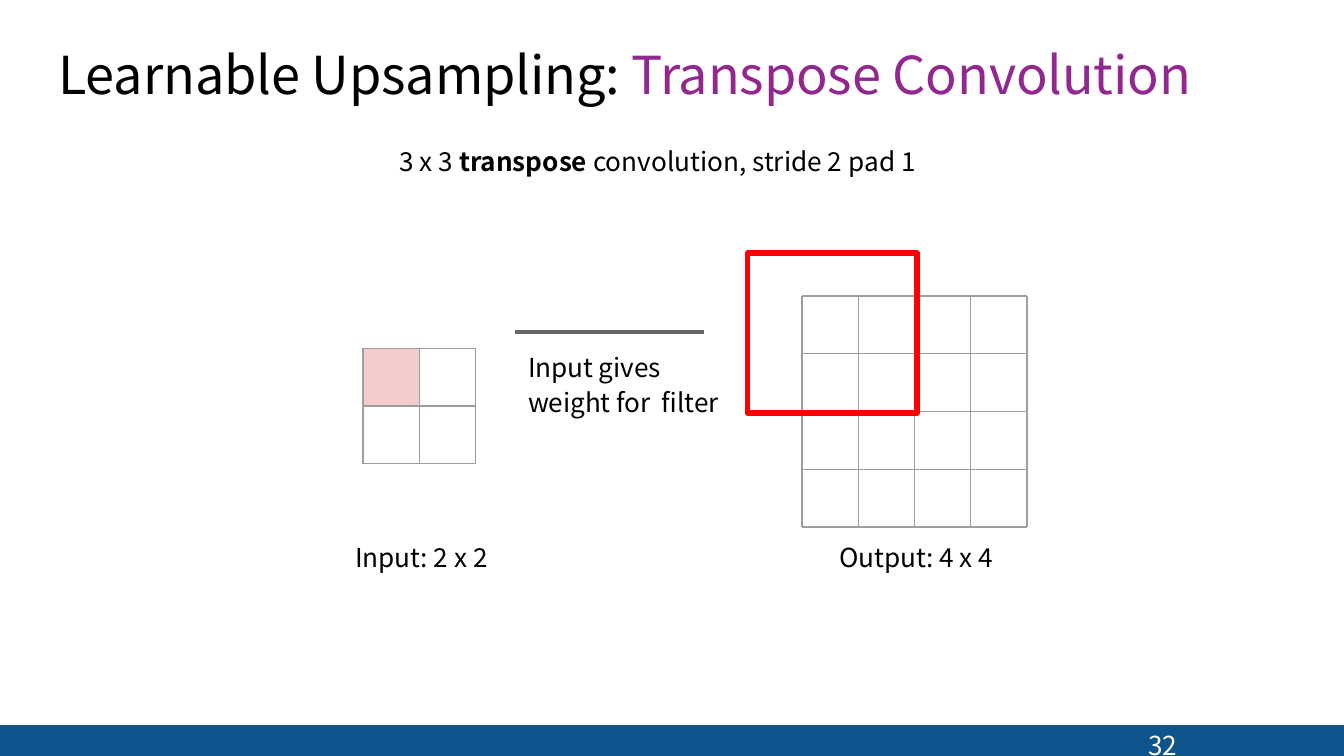
from lxml import etree
from pptx import Presentation
from pptx.dml.color import RGBColor
from pptx.enum.shapes import MSO_CONNECTOR, MSO_SHAPE
from pptx.enum.text import MSO_ANCHOR
from pptx.oxml.ns import qn
from pptx.util import Pt

STRAIGHT = MSO_CONNECTOR.STRAIGHT
RECTANGLE = MSO_SHAPE.RECTANGLE
TOP = MSO_ANCHOR.TOP
FONT = "Noto Sans CJK KR"
BLACK, WHITE, PURPLE = "000000", "FFFFFF", "92278F"
GRID, PINK, RED, GRAY, BLUE = "9E9E9E", "F4CCCC", "FF0000", "666666", "0D558C"
PAGE_WIDTH, PAGE_HEIGHT = 720, 405
CELL_WIDTH, CELL_HEIGHT = 30.1, 30.96
TIGHT = -5


def color(value):
    """Turn a hex string into a colour."""
    return RGBColor.from_string(value)


def add_text(page, box, lines, size=14, inset=(0.72, 0.72), spacing=None, tracking=0):
    """Place lines of (text, format) spans in a box."""
    frame = page.shapes.add_textbox(*map(Pt, box)).text_frame
    left, top = inset
    layout = {"word_wrap": True, "vertical_anchor": TOP, "margin_left": Pt(left),
              "margin_top": Pt(top), "margin_right": 0, "margin_bottom": 0}
    for name, value in layout.items():
        setattr(frame, name, value)
    for index, spans in enumerate(lines):
        para = frame.add_paragraph() if index else frame.paragraphs[0]
        if spacing:
            para.line_spacing = Pt(spacing)
        if index:
            para.space_before = Pt(2.2)
        for text, look in spans:
            span = para.add_run()
            span.text = text
            values = {"name": FONT, "size": Pt(size), "bold": look.get("bold", False)}
            for name, value in values.items():
                setattr(span.font, name, value)
            span.font.color.rgb = color(look.get("color", BLACK))
            span.font._element.set("spc", str(look.get("tracking", tracking)))


def add_line(page, start, end, shade, width):
    """Draw a straight line without a shadow."""
    line = page.shapes.add_connector(STRAIGHT, *map(Pt, (*start, *end)))
    line.line.color.rgb = color(shade)
    line.line.width = Pt(width)
    etree.SubElement(line._element.spPr, qn("a:effectLst"))


def outline_shape(shape, shade, width):
    """Leave a shape unfilled and set its outline."""
    shape.shadow.inherit = False
    shape.fill.background()
    shape.line.color.rgb = color(shade)
    shape.line.width = Pt(width)


def add_lattice(page, left, top, count):
    """Draw the lines of a square grid as one outline."""
    right, bottom = left + count * CELL_WIDTH, top + count * CELL_HEIGHT
    columns = [left + index * CELL_WIDTH for index in range(count + 1)]
    rows = [top + index * CELL_HEIGHT for index in range(count + 1)]
    lines = [((x, top), (x, bottom)) for x in columns]
    lines += [((left, y), (right, y)) for y in rows]
    builder = page.shapes.build_freeform(Pt(left), Pt(top))
    for start, end in lines:
        builder.move_to(*map(Pt, start))
        builder.add_line_segments([tuple(map(Pt, end))], close=False)
    outline_shape(builder.convert_to_shape(), GRID, 0.75)


def border_cell(cell):
    """Give a cell thin borders on all sides."""
    properties = cell._tc.get_or_add_tcPr()
    for index, side in enumerate(("lnL", "lnR", "lnT", "lnB")):
        border = etree.Element(qn(f"a:{side}"), w=str(Pt(0.75)))
        fill = etree.SubElement(border, qn("a:solidFill"))
        etree.SubElement(fill, qn("a:srgbClr"), val=GRID)
        properties.insert(index, border)


def add_input(page, left, top, count=2):
    """Place the input grid with its first cell marked, and its caption."""
    box = (left, top, count * CELL_WIDTH, count * CELL_HEIGHT)
    table = page.shapes.add_table(count, count, *map(Pt, box)).table
    table.first_row = table.horz_banding = False
    for column in table.columns:
        column.width = Pt(CELL_WIDTH)
    for row in table.rows:
        row.height = Pt(CELL_HEIGHT)
    for cell in table.iter_cells():
        cell.fill.background()
        cell.margin_top = cell.margin_bottom = 0
        cell.text_frame.paragraphs[0].font.size = Pt(10)
        border_cell(cell)
    first = table.cell(0, 0)
    first.fill.solid()
    first.fill.fore_color.rgb = color(PINK)
    caption = [("Input: ", {"tracking": TIGHT}), ("2 x 2", {})]
    add_text(page, (left - 4.8, top + 102.5, 83, 18), [caption])


def add_output(page, left, top, count=4):
    """Place the output grid, its caption and the filter frame."""
    add_lattice(page, left, top, count)
    frame_box = (left - 29.2, top - 22.9, 90.7, 85.7)
    frame = page.shapes.add_shape(RECTANGLE, *map(Pt, frame_box))
    outline_shape(frame, RED, 3)
    caption = [("Output: ", {"tracking": TIGHT}), ("4 x 4", {})]
    add_text(page, (left + 19.2, top + 130.8, 96, 18), [caption])


def add_step(page, left, top):
    """Place the line between the grids and the note under it."""
    add_line(page, (left, top), (left + 101.2, top), GRAY, 2.25)
    note = [[("Input gives", {})], [("weight for  filter", {})]]
    add_text(page, (left + 6.4, top + 8.4, 117.4, 37.4), note,
             inset=(0.72, 2.16), spacing=16.5, tracking=TIGHT)


def add_heading(page, left, top):
    """Place the title and the line that names the operation."""
    title = [("Learnable Upsampling: ", {}), ("Transpose Convolution", {"color": PURPLE})]
    add_text(page, (left, top, 641.5, 35.3), [title], size=28, tracking=TIGHT)
    subtitle = [("3 x 3 ", {}), ("transpose ", {"bold": True}),
                ("convolution, stride 2 ", {}), ("pad ", {"tracking": TIGHT}), ("1", {})]
    add_text(page, (left + 182.6, top + 55, 368.6, 18), [subtitle])


def add_footer(page, top):
    """Place the bottom bar and the page number."""
    bar_box = (0, top, PAGE_WIDTH, PAGE_HEIGHT - top)
    bar = page.shapes.add_shape(RECTANGLE, *map(Pt, bar_box))
    bar.shadow.inherit = False
    bar.fill.solid()
    bar.fill.fore_color.rgb = color(BLUE)
    bar.line.fill.background()
    add_text(page, (612.3, top - 4.3, 28, 23), [[("32", {"color": WHITE})]],
             inset=(2.88, 0), spacing=23.1)


def main():
    """Build and save the deck."""
    deck = Presentation()
    deck.slide_width, deck.slide_height = Pt(PAGE_WIDTH), Pt(PAGE_HEIGHT)
    page = deck.slides.add_slide(deck.slide_layouts[6])
    add_footer(page, 388.5)
    add_input(page, 194.5, 186.6)
    add_output(page, 429.7, 158.5)
    add_step(page, 275.8, 177.8)
    add_heading(page, 30.6, 22)
    deck.save("out.pptx")


if __name__ == "__main__":
    main()
